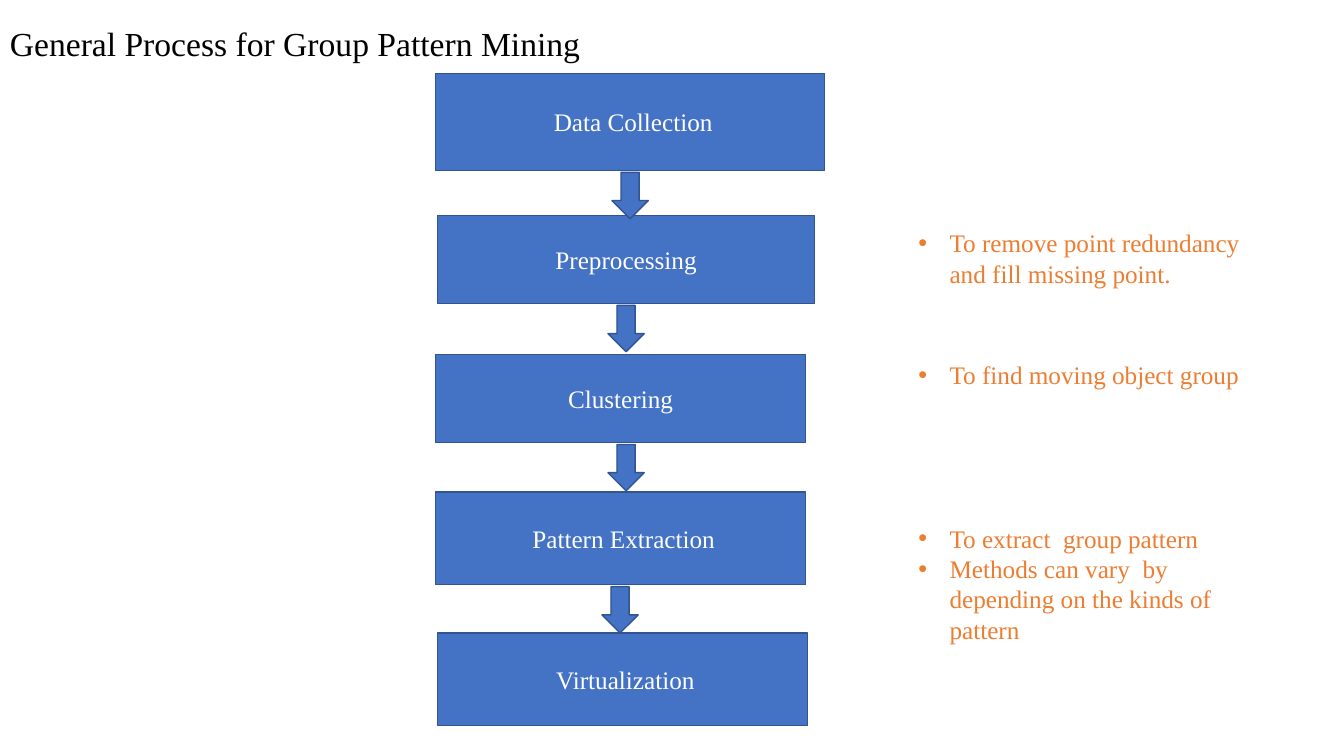
from lxml.etree import SubElement
from pptx import Presentation
from pptx.dml.color import RGBColor
from pptx.enum.shapes import MSO_SHAPE
from pptx.enum.text import MSO_ANCHOR, PP_ALIGN
from pptx.oxml.ns import qn
from pptx.util import Inches, Pt

BLUE = RGBColor(0x44, 0x72, 0xC4)
EDGE = RGBColor(0x32, 0x54, 0x91)
ORANGE = RGBColor(0xED, 0x7D, 0x31)
WHITE = RGBColor(0xFF, 0xFF, 0xFF)
BLACK = RGBColor(0, 0, 0)
SERIF = "Times New Roman"

TITLE = "General Process for Group Pattern Mining"
STEPS = [
    ([(" Data Collection", SERIF)], (432, 73, 386, 96)),
    ([("Preprocessing", SERIF)], (434, 214, 374, 87)),
    ([("Clustering", SERIF)], (432, 352, 367, 87)),
    ([(" Pattern Extraction", SERIF)], (432, 488, 367, 92)),
    ([(" ", "Calibri"), ("Virtualization", SERIF)], (434, 628, 367, 92)),
]
ARROW_CENTRES = [625, 621, 621, 615]
NOTES = [
    (["To remove point redundancy and fill missing point."], 221, 71),
    (["To find moving object group"], 352, 40),
    (["To extract  group pattern",
      "Methods can vary  by depending on the kinds of pattern"], 514, 131),
]

COLS, ROWS = 1333, 750
ARROW_W, ARROW_H, ARROW_GAP = 36, 46, 2
NOTE_LEFT, NOTE_W = 901, 374
INDENT = Inches(0.31)

prs = Presentation()
prs.slide_width, prs.slide_height = Inches(13.33), Inches(7.5)
col, row = prs.slide_width / COLS, prs.slide_height / ROWS
s = prs.slides.add_slide(prs.slide_layouts[6])


def place(left, top, width, height):
    return [round(n) for n in (left * col, top * row, width * col, height * row)]


def add_run(p, text, size, color, font=SERIF):
    r = p.add_run()
    r.text = text
    r.font.size = Pt(size)
    r.font.name = font
    r.font.color.rgb = color


def add_block(kind, box):
    sp = s.shapes.add_shape(kind, *place(*box))
    sp.shadow.inherit = False
    sp.fill.solid()
    sp.fill.fore_color.rgb = BLUE
    sp.line.color.rgb = EDGE
    sp.line.width = Pt(1)
    return sp


def add_text(box):
    tf = s.shapes.add_textbox(*place(*box)).text_frame
    tf.word_wrap = True
    return tf


def add_bullet(p):
    pPr = p._p.get_or_add_pPr()
    pPr.set("marL", str(INDENT))
    pPr.set("indent", str(-INDENT))
    SubElement(pPr, qn("a:buFont")).set("typeface", "Arial")
    SubElement(pPr, qn("a:buChar")).set("char", "•")


for runs, box in STEPS:
    tf = add_block(MSO_SHAPE.RECTANGLE, box).text_frame
    tf.word_wrap = True
    tf.vertical_anchor = MSO_ANCHOR.MIDDLE
    p = tf.paragraphs[0]
    p.alignment = PP_ALIGN.CENTER
    for text, font in runs:
        add_run(p, text, 18, WHITE, font)

for (runs, (left, top, width, height)), centre in zip(STEPS, ARROW_CENTRES):
    add_block(MSO_SHAPE.DOWN_ARROW,
              (centre - ARROW_W / 2, top + height + ARROW_GAP, ARROW_W, ARROW_H))

add_run(add_text((0, 18, 726, 50)).paragraphs[0], TITLE, 24, BLACK)

for lines, top, height in NOTES:
    tf = add_text((NOTE_LEFT, top, NOTE_W, height))
    for i, line in enumerate(lines):
        p = tf.add_paragraph() if i else tf.paragraphs[0]
        add_bullet(p)
        add_run(p, line, 18, ORANGE)

prs.save("out.pptx")
